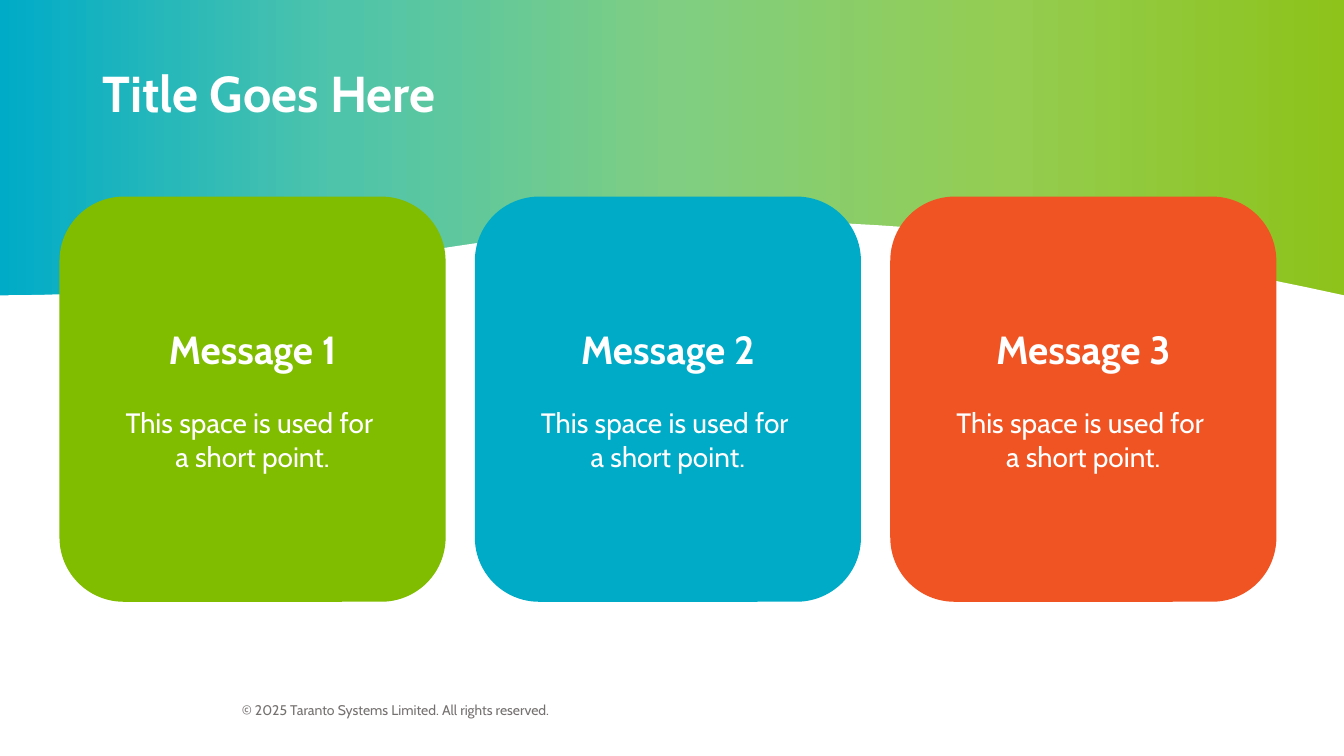
"""Build a title slide with three message cards over a gradient wave."""
from dataclasses import dataclass

from lxml import etree
from pptx import Presentation
from pptx import util as u
from pptx.dml.color import RGBColor
from pptx.enum import shapes, text
from pptx.oxml import ns

FONT = "Cabin"
WHITE = "FFFFFF"
WIDTH, HEIGHT = 13.33, 7.5
BACKDROP_COLORS = ("00ABC8", "4EC4AB", "7FCE82", "94CD51", "8DC31A")
WAVE = ((0, 2.93), (4.44, 2.93), (5.8, 1.28), (WIDTH, 2.93))
WAVE_STEPS = 60
CARD_LEFT, CARD_TOP, CARD_PITCH = 0.59, 1.95, 4.12
CARD_WIDTH, CARD_HEIGHT = 3.83, 4.02


@dataclass(frozen=True)
class Card:
    heading: str
    color: str
    body: str = "This space is used for \va short point."


CARDS = (
    Card("Message 1", "80BC00"),
    Card("Message 2", "00ABC8"),
    Card("Message 3", "F05423"),
)


def rgb(value: str) -> RGBColor:
    return RGBColor.from_string(value)


def set_font(paragraph, size: float, color: str, bold: bool = False) -> None:
    font = paragraph.font
    font.name, font.size, font.bold = FONT, u.Pt(size), bold
    font.color.rgb = rgb(color)


def fill_plain(shape, color: str) -> None:
    shape.shadow.inherit = False
    shape.fill.solid()
    shape.fill.fore_color.rgb = rgb(color)
    shape.line.fill.background()


def draw_backdrop(slide) -> None:
    shape = slide.shapes.add_shape(
        shapes.MSO_SHAPE.RECTANGLE, 0, 0, u.Inches(WIDTH), u.Inches(HEIGHT)
    )
    shape.shadow.inherit = False
    shape.line.fill.background()
    shape.fill.gradient()
    shape.fill.gradient_angle = 0
    stops = shape.element.spPr.find(".//" + ns.qn("a:gsLst"))
    for stop in list(stops):
        stops.remove(stop)
    for index, color in enumerate(BACKDROP_COLORS):
        position = index * 100000 // (len(BACKDROP_COLORS) - 1)
        stop = etree.SubElement(stops, ns.qn("a:gs"), pos=str(position))
        etree.SubElement(stop, ns.qn("a:srgbClr"), val=color)


def wave_point(t: float) -> tuple[int, int]:
    weights = ((1 - t) ** 3, 3 * t * (1 - t) ** 2, 3 * t**2 * (1 - t), t**3)
    x, y = (
        sum(weight * point[axis] for weight, point in zip(weights, WAVE))
        for axis in (0, 1)
    )
    return u.Inches(x), u.Inches(y)


def draw_wave(slide) -> None:
    builder = slide.shapes.build_freeform(0, u.Inches(HEIGHT))
    points = [wave_point(step / WAVE_STEPS) for step in range(WAVE_STEPS + 1)]
    points.append((u.Inches(WIDTH), u.Inches(HEIGHT)))
    builder.add_line_segments(points, close=True)
    fill_plain(builder.convert_to_shape(), WHITE)


def add_label(slide, box: tuple[float, ...], words: str, size: float,
              color: str, bold: bool = False) -> None:
    frame = slide.shapes.add_textbox(*map(u.Inches, box)).text_frame
    frame.word_wrap = True
    frame.vertical_anchor = text.MSO_ANCHOR.MIDDLE
    paragraph = frame.paragraphs[0]
    paragraph.text = words
    paragraph.line_spacing = 0.9 if bold else 1.0
    set_font(paragraph, size, color, bold)


def add_card(slide, card: Card, left: float) -> None:
    box = (left, CARD_TOP, CARD_WIDTH, CARD_HEIGHT)
    shape = slide.shapes.add_shape(
        shapes.MSO_SHAPE.ROUNDED_RECTANGLE, *map(u.Inches, box)
    )
    fill_plain(shape, card.color)
    frame = shape.text_frame
    frame.word_wrap = True
    frame.vertical_anchor = text.MSO_ANCHOR.MIDDLE
    heading, body = frame.paragraphs[0], frame.add_paragraph()
    heading.text, body.text = card.heading, card.body
    heading.alignment = body.alignment = text.PP_ALIGN.CENTER
    body.space_before = u.Pt(24)
    set_font(heading, 28, WHITE, bold=True)
    set_font(body, 20, WHITE)


def main() -> None:
    presentation = Presentation()
    presentation.slide_width = u.Inches(WIDTH)
    presentation.slide_height = u.Inches(HEIGHT)
    slide = presentation.slides.add_slide(presentation.slide_layouts[6])
    draw_backdrop(slide)
    draw_wave(slide)
    add_label(slide, (2.3, 6.91, 8.74, 0.27),
              "© 2025 Taranto Systems Limited. All rights reserved.", 10, "767171")
    add_label(slide, (0.92, 0.4, 11.5, 1.1), "Title Goes Here", 36, WHITE, bold=True)
    for index, card in enumerate(CARDS):
        add_card(slide, card, CARD_LEFT + index * CARD_PITCH)
    presentation.save("out.pptx")


if __name__ == "__main__":
    main()
